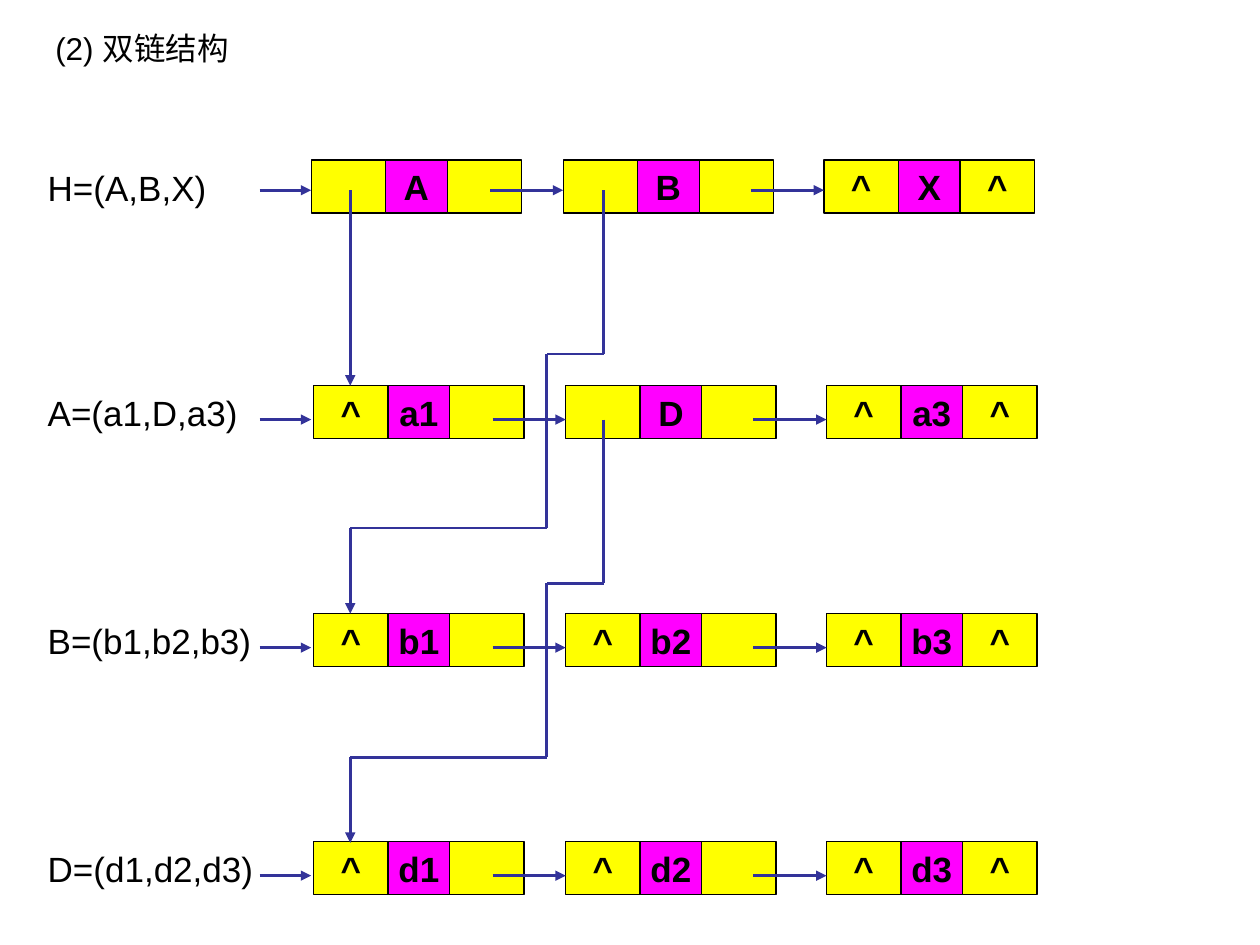
"""Build a slide showing a generalized list stored as doubly linked nodes."""
from dataclasses import dataclass
from itertools import pairwise

from lxml.etree import SubElement
from pptx import Presentation
from pptx.dml.color import RGBColor
from pptx.enum.shapes import MSO_CONNECTOR, MSO_SHAPE
from pptx.enum.text import MSO_ANCHOR, MSO_AUTO_SIZE, PP_ALIGN
from pptx.oxml.ns import qn
from pptx.util import Inches, Pt

BLACK = RGBColor(0x00, 0x00, 0x00)
YELLOW = RGBColor(0xFF, 0xFF, 0x00)
MAGENTA = RGBColor(0xFF, 0x00, 0xFF)
INDIGO = RGBColor(0x33, 0x33, 0x99)

NODE_LEFTS = (2.49, 4.49, 6.56)
POINTER_WIDTH, DATA_WIDTH, NODE_HEIGHT = 0.59, 0.49, 0.42
FIRST_SUBLIST_TOP, SUBLIST_STEP = 3.06, 1.81
LINK_LENGTH = 0.58
ENTRY_START, ENTRY_END = 2.06, 2.47
CHILD_X, BEND_X, PARENT_X = 2.78, 4.34, 4.79

Point = tuple[float, float]


@dataclass(frozen=True)
class Node:
    """A list node with its child pointer, data and next pointer."""
    child: str
    data: str
    following: str = ""


@dataclass(frozen=True)
class ListRow:
    """One list with its label, nodes and place on the slide."""
    label: str
    nodes: tuple[Node, ...]
    top: float
    shift: float = 0
    link_drop: float = 0.27


def sublist(index: int, label: str, *nodes: Node) -> ListRow:
    """Place a sublist on the regular row grid."""
    return ListRow(label, nodes, FIRST_SUBLIST_TOP + index * SUBLIST_STEP)


ROWS = (
    ListRow("H=(A,B,X)", (Node("", "A"), Node("", "B"), Node("^", "X", "^")),
            top=1.27, shift=-0.02, link_drop=0.24),
    sublist(0, "A=(a1,D,a3)", Node("^", "a1"), Node("", "D"), Node("^", "a3", "^")),
    sublist(1, "B=(b1,b2,b3)", Node("^", "b1"), Node("^", "b2"), Node("^", "b3", "^")),
    sublist(2, "D=(d1,d2,d3)", Node("^", "d1"), Node("^", "d2"), Node("^", "d3", "^")),
)


def write(frame, text: str, size: int, bold: bool = False) -> None:
    """Put one line of black Arial text into a frame."""
    frame.text = text
    font = frame.paragraphs[0].runs[0].font
    font.name, font.size, font.bold = "Arial", Pt(size), bold
    font.color.rgb = BLACK


def add_label(shapes, text: str, left: float, top: float,
              width: float, height: float, size: int) -> None:
    """Add a plain text label."""
    label = shapes.add_textbox(*map(Inches, (left, top, width, height)))
    label.text_frame.word_wrap = True
    label.text_frame.auto_size = MSO_AUTO_SIZE.SHAPE_TO_FIT_TEXT
    write(label.text_frame, text, size)


def add_cell(shapes, text: str, left: float, top: float,
             width: float, fill: RGBColor) -> None:
    """Add one field of a node."""
    cell = shapes.add_shape(MSO_SHAPE.RECTANGLE,
                            *map(Inches, (left, top, width, NODE_HEIGHT)))
    cell.shadow.inherit = False
    cell.fill.solid()
    cell.fill.fore_color.rgb = fill
    cell.line.color.rgb = BLACK
    cell.line.width = Pt(0.75)
    if text:
        frame = cell.text_frame
        write(frame, text, 20, bold=True)
        frame.word_wrap = False
        frame.vertical_anchor = MSO_ANCHOR.MIDDLE
        frame.paragraphs[0].alignment = PP_ALIGN.CENTER


def add_node(shapes, node: Node, left: float, top: float) -> None:
    """Add the three fields of a node side by side."""
    fields = ((node.child, POINTER_WIDTH, YELLOW),
              (node.data, DATA_WIDTH, MAGENTA),
              (node.following, POINTER_WIDTH, YELLOW))
    for text, width, fill in fields:
        add_cell(shapes, text, left, top, width, fill)
        left += width


def add_pointer(shapes, *points: Point) -> None:
    """Join points by straight lines, with an arrowhead at the last one."""
    for start, end in pairwise(points):
        segment = shapes.add_connector(MSO_CONNECTOR.STRAIGHT,
                                       *map(Inches, start + end))
        segment.line.color.rgb = INDIGO
        segment.line.width = Pt(1.5)
        properties = segment.line._get_or_add_ln()
        if end == points[-1]:
            SubElement(properties, qn("a:tailEnd"), type="triangle")
        SubElement(properties.getparent(), qn("a:effectLst"))


def add_row(shapes, row: ListRow) -> None:
    """Add a list's label, nodes and horizontal pointers."""
    add_label(shapes, row.label, 0.28, row.top, 1.92, 0.44, 20)
    link_y = row.top + row.link_drop
    add_pointer(shapes, (ENTRY_START, link_y), (ENTRY_END, link_y))
    lefts = [left + row.shift for left in NODE_LEFTS]
    for node, left in zip(row.nodes, lefts):
        add_node(shapes, node, left, row.top)
    for left in lefts[1:]:
        add_pointer(shapes, (left - LINK_LENGTH, link_y), (left, link_y))


def add_bent_pointer(shapes, top: float) -> None:
    """Lead a second node's child pointer down to the start of its sublist."""
    upper, lower = top + 1.3, top + 2.68
    add_pointer(shapes, (PARENT_X, top), (PARENT_X, upper), (BEND_X, upper),
                (BEND_X, lower), (CHILD_X, lower), (CHILD_X, top + 3.36))


def main() -> None:
    """Create and save the slide."""
    deck = Presentation()
    deck.slide_width, deck.slide_height = Inches(10), Inches(7.5)
    shapes = deck.slides.add_slide(deck.slide_layouts[6]).shapes
    add_label(shapes, "(2) 双链结构", 0.34, 0.18, 1.75, 0.4, 18)
    for row in ROWS:
        add_row(shapes, row)
    add_pointer(shapes, (CHILD_X, 1.51), (CHILD_X, FIRST_SUBLIST_TOP))
    for top in (1.51, 3.33):
        add_bent_pointer(shapes, top)
    deck.save("out.pptx")


main()
